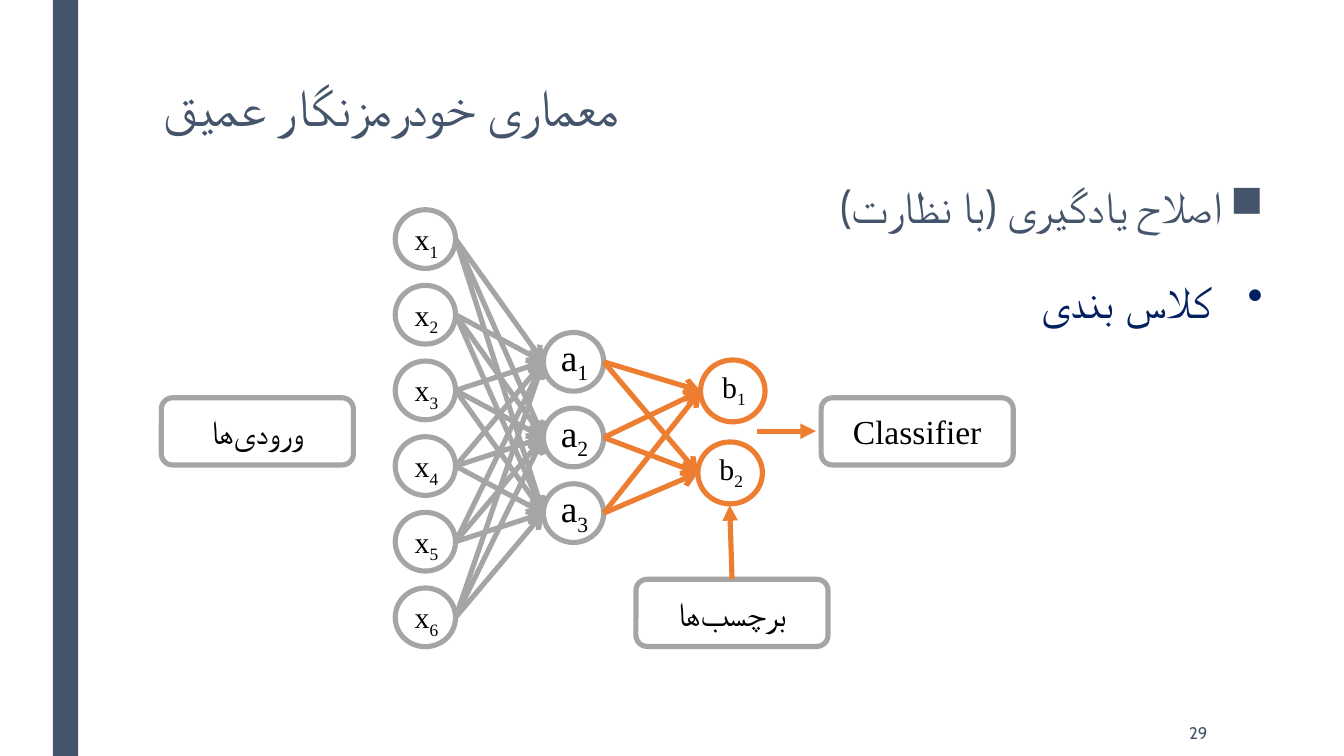
from itertools import product

from lxml.etree import SubElement
from pptx import Presentation
from pptx.dml.color import RGBColor
from pptx.enum.shapes import MSO_CONNECTOR as Connector, MSO_SHAPE as Shape
from pptx.enum.text import MSO_ANCHOR as Anchor, PP_ALIGN as Align
from pptx.oxml.ns import qn
from pptx.util import Cm, Pt

SLATE, GRAY, ORANGE = "44546A", "A5A5A5", "ED7D31"
WHITE, BLACK, NAVY = "FFFFFF", "000000", "002060"
SANS, SERIF = "Cabin", "Times New Roman"
LINE_WIDTH = 2.75
NON_JOINER = chr(0x200C)
PLURAL = NON_JOINER + "ها"


def color(hex_value):
    return RGBColor.from_string(hex_value)


def set_attributes(target, values):
    for name, value in values.items():
        setattr(target, name, value)


def add_run(paragraph, text, size, font_name, hex_value):
    run = paragraph.add_run()
    run.text = text
    set_attributes(run.font, {"size": Pt(size), "name": font_name})
    run.font.color.rgb = color(hex_value)
    SubElement(run.font._element, qn("a:cs"), typeface=font_name)
    return run


def add_text_box(slide, box, wrap=True, anchor=Anchor.TOP):
    frame = slide.shapes.add_textbox(*map(Cm, box)).text_frame
    set_attributes(frame, {"word_wrap": wrap, "vertical_anchor": anchor})
    return frame.paragraphs[0]


def set_right_to_left(paragraph, bullet=None, indent=0):
    properties = paragraph._p.get_or_add_pPr()
    properties.set("rtl", "1")
    if bullet:
        properties.set("marL", str(Cm(indent)))
        properties.set("indent", str(-Cm(indent)))
        SubElement(properties, qn("a:buChar"), char=bullet)


def add_outlined_shape(slide, kind, box, line_color):
    shape = slide.shapes.add_shape(kind, *map(Cm, box))
    shape.shadow.inherit = False
    shape.fill.solid()
    shape.fill.fore_color.rgb = color(WHITE)
    shape.line.color.rgb = color(line_color)
    shape.line.width = Pt(LINE_WIDTH)
    return shape


def add_arrow(slide, start, end, line_color, head):
    arrow = slide.shapes.add_connector(Connector.STRAIGHT, *map(Cm, (*start, *end)))
    arrow.line.color.rgb = color(line_color)
    arrow.line.width = Pt(LINE_WIDTH)
    properties = arrow._element.spPr
    SubElement(properties.find(qn("a:ln")), qn("a:tailEnd"), type=head)
    SubElement(properties, qn("a:effectLst"))
    return arrow


def add_side_bar(slide, box):
    bar = slide.shapes.add_shape(Shape.RECTANGLE, *map(Cm, box))
    bar.shadow.inherit = False
    bar.fill.solid()
    bar.fill.fore_color.rgb = color(SLATE)
    bar.line.fill.background()


def add_title(slide, box, text):
    paragraph = add_text_box(slide, box)
    set_right_to_left(paragraph)
    set_attributes(paragraph, {"alignment": Align.LEFT, "line_spacing": 0.89})
    add_run(paragraph, text, 28, SANS, SLATE)


def add_bullet(slide, box, text, bullet, indent, font_name, hex_value, spacing):
    paragraph = add_text_box(slide, box)
    # Spacing goes first: its element must precede the bullet.
    set_attributes(paragraph, {"alignment": Align.RIGHT, "line_spacing": spacing})
    set_right_to_left(paragraph, bullet, indent)
    add_run(paragraph, text, 24, font_name, hex_value)


def add_slide_number(slide, box, text):
    paragraph = add_text_box(slide, box, anchor=Anchor.MIDDLE)
    paragraph.alignment = Align.RIGHT
    add_run(paragraph, text, 9, SANS, SLATE)


def add_caption_box(slide, box, text, font_name):
    shape = add_outlined_shape(slide, Shape.ROUNDED_RECTANGLE, box, GRAY)
    shape.text_frame.vertical_anchor = Anchor.MIDDLE
    paragraph = shape.text_frame.paragraphs[0]
    paragraph.alignment = Align.CENTER
    add_run(paragraph, text, 18, font_name, BLACK)
    return shape


def add_layer(slide, letter, centers, size, line_color, label):
    """Draw numbered nodes; return the middles of their left and right sides."""
    width, height = size
    label_width, label_height, label_rise, font_size = label
    for number, (x, y) in enumerate(centers, 1):
        box = (x - width / 2, y - height / 2, width, height)
        add_outlined_shape(slide, Shape.OVAL, box, line_color)
        label_box = (x - label_width / 2 + 0.02, y - label_height / 2 - label_rise,
                     label_width, label_height)
        paragraph = add_text_box(slide, label_box, wrap=False)
        paragraph.alignment = Align.CENTER
        add_run(paragraph, letter, font_size, SERIF, BLACK)
        index = add_run(paragraph, str(number), font_size, SERIF, BLACK)
        index.font._element.set("baseline", "-25000")
    return ([(x - width / 2, y) for x, y in centers],
            [(x + width / 2, y) for x, y in centers])


def add_network(slide, left, top):
    step, node_size = 1.43, (1.14, 1.11)
    inputs = [(left + 0.57, top + 0.56 + step * row) for row in range(6)]
    hidden = [(left + 3.37, top + 2.88 + step * row) for row in range(3)]
    outputs = [(left + 6.38, top + 3.43), (left + 6.33, top + 4.98)]
    _, input_ends = add_layer(slide, "x", inputs, node_size, GRAY, (0.99, 0.94, 0, 16))
    hidden_starts, hidden_ends = add_layer(
        slide, "a", hidden, node_size, GRAY, (1.09, 1.12, 0.09, 20))
    output_starts, _ = add_layer(
        slide, "b", outputs, (1.22, 1.17), ORANGE, (0.99, 0.94, 0.08, 16))
    for starts, ends, line_color in ((input_ends, hidden_starts, GRAY),
                                     (hidden_ends, output_starts, ORANGE)):
        for start, end in product(starts, ends):
            add_arrow(slide, start, end, line_color, "arrow")


def add_diagram(slide, left, top):
    """Place the network with its input, label and classifier boxes."""
    width, height = 3.63, 1.27
    add_network(slide, left + 4.42, top)
    add_caption_box(slide, (left, top + 3.56, width, height), "ورودی" + PLURAL, SANS)
    add_caption_box(slide, (left + 12.47, top + 3.56, width, height), "Classifier", SERIF)
    labels = add_caption_box(slide, (left + 8.97, top + 6.99, width, height),
                             "برچسب" + PLURAL, SANS)
    label_arrow = add_arrow(slide, (left + 10.78, top + 6.99),
                            (left + 10.74, top + 5.59), ORANGE, "triangle")
    label_arrow.begin_connect(labels, 0)
    add_arrow(slide, (left + 11.25, top + 4.19), (left + 12.37, top + 4.19),
              ORANGE, "triangle")


def main():
    presentation = Presentation()
    set_attributes(presentation, {"slide_width": Cm(25.4), "slide_height": Cm(14.29)})
    slide = presentation.slides.add_slide(presentation.slide_layouts[6])
    add_side_bar(slide, (1, 0, 0.48, 14.29))
    add_title(slide, (2.84, 1.42, 20.02, 1.7), "معماری خودرمزنگار عمیق")
    add_bullet(slide, (1.27, 3.33, 22.86, 2.03), "اصلاح یادگیری (با نظارت)",
               "■", 0.81, SANS, SLATE, 0.94)
    add_slide_number(slide, (19.74, 13.44, 3.33, 0.84), "29")
    add_diagram(slide, 3.05, 3.96)
    add_bullet(slide, (1.27, 5.05, 22.86, 2.34), "کلاس بندی",
               "•", 0.97, SERIF, NAVY, 1.0)
    presentation.save("out.pptx")


if __name__ == "__main__":
    main()
